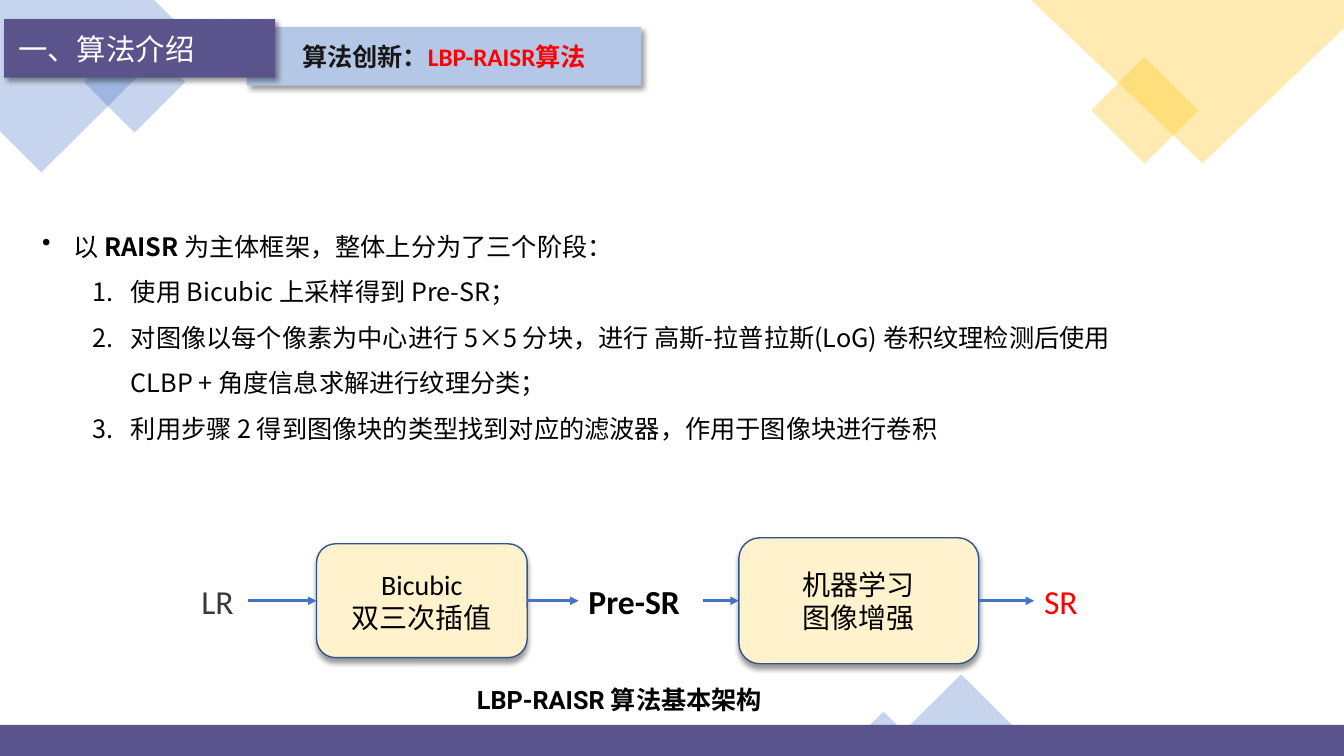
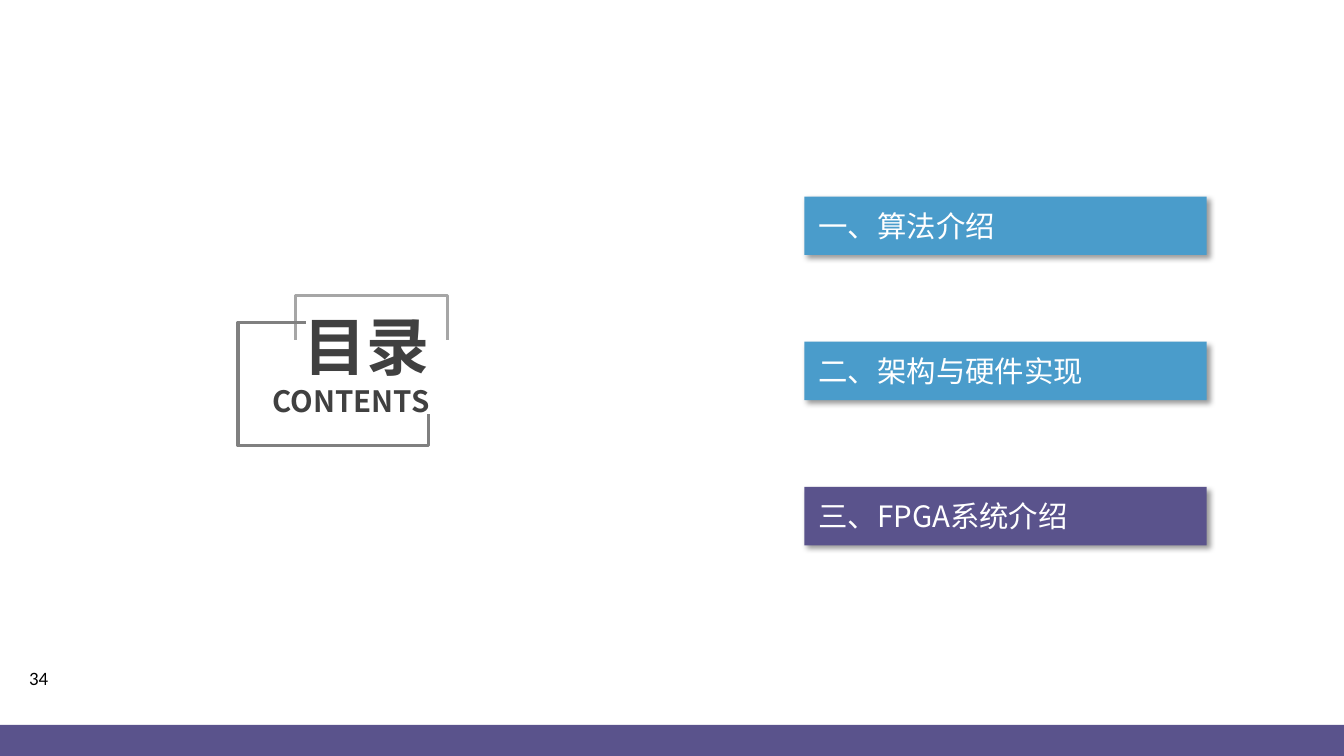
from lxml import etree
from pptx import Presentation
from pptx import util as u
from pptx.dml.color import RGBColor
from pptx.enum import shapes, text
from pptx.oxml.ns import qn

# The slide is a grid of 160 columns by 90 rows of square cells.
COLUMNS, ROWS = 160, 90
CELL = u.Inches(1) / 12
BAND_HEIGHT = 3.72
BAR_HEIGHT = 6.96

COLORS = {
    "purple": "5A538C", "sky": "4A9CCB", "pale_blue": "B4C7E7",
    "blue": "4472C4", "yellow": "FFC000", "cream": "FFF2CC",
    "outline": "325491", "red": "FF0000", "white": "FFFFFF",
    "black": "000000", "ink": "181717", "charcoal": "3B3838",
    "dark_gray": "404040", "gray": "808080", "light_gray": "A6A6A6",
}
CJK, LATIN, CAPTION = "Noto Sans CJK SC", "Calibri", "Roboto"
KIND = shapes.MSO_SHAPE
ALIGN = text.PP_ALIGN


def cells(*counts):
    return [u.Emu(round(count * CELL)) for count in counts]


def color(name):
    return RGBColor.from_string(COLORS[name])


def add_child(parent, tag, **attributes):
    child = etree.SubElement(parent, qn(tag))
    for name, value in attributes.items():
        child.set(name, str(value))
    return child


def paint(shape, fill, line=None, opacity=100, shadow_angle=None):
    """Set fill, outline and shadow; the angle is in degrees."""
    shape.fill.solid()
    shape.fill.fore_color.rgb = color(fill)
    properties = shape.element.spPr
    if opacity < 100:
        add_child(properties.find(".//" + qn("a:srgbClr")), "a:alpha", val=opacity * 1000)
    if line:
        shape.line.color.rgb = color(line)
        shape.line.width = u.Pt(1)
    else:
        shape.line.fill.background()
    shape.shadow.inherit = False
    if shadow_angle is not None:
        shadow = add_child(properties.find(qn("a:effectLst")), "a:outerShdw",
                           blurRad=u.Pt(4), dist=u.Pt(3), dir=shadow_angle * 60000,
                           algn="ctr", rotWithShape=0)
        shade = add_child(shadow, "a:srgbClr", val=COLORS["black"])
        add_child(shade, "a:alpha", val=40000)


def add_shape(page, kind, box, fill, **look):
    shape = page.shapes.add_shape(kind, *cells(*box))
    paint(shape, fill, **look)
    return shape


def add_outline(page, points, closed=True):
    start, *rest = [cells(*point) for point in points]
    builder = page.shapes.build_freeform(*start)
    builder.add_line_segments(rest, close=closed)
    return builder.convert_to_shape()


def add_bracket(page, points, line):
    bracket = add_outline(page, points, closed=False)
    bracket.fill.background()
    bracket.line.color.rgb = color(line)
    bracket.line.width = u.Pt(2.5)
    bracket.shadow.inherit = False


def format_span(span, size, ink, font=LATIN, bold=False):
    span.font.size = u.Pt(size)
    span.font.name = font
    span.font.bold = bold
    span.font.color.rgb = color(ink)
    add_child(span.font._element, "a:ea", typeface=CJK)


def write(shape, words, size, ink, font=LATIN, bold=False, align=ALIGN.LEFT):
    frame = shape.text_frame
    frame.text = words
    frame.word_wrap = True
    frame.auto_size = text.MSO_AUTO_SIZE.NONE
    for para in frame.paragraphs:
        para.alignment = align
        for span in para.runs:
            format_span(span, size, ink, font, bold)
    return frame


def add_text(page, box, words, *style, **options):
    return write(page.shapes.add_textbox(*cells(*box)), words, *style, **options)


def place_title(page, box):
    title = page.shapes.title
    title.left, title.top, title.width, title.height = cells(*box)
    return title


def format_bar(shape, words, fill):
    paint(shape, fill, shadow_angle=45)
    frame = write(shape, words, 21, "white", CJK)
    frame.vertical_anchor = text.MSO_ANCHOR.MIDDLE
    frame.margin_left = u.Inches(0.14)
    frame.margin_top = frame.margin_bottom = 0


def add_footer_band(page):
    add_shape(page, KIND.RECTANGLE, (0, ROWS - BAND_HEIGHT, COLUMNS, BAND_HEIGHT), "purple")


def add_decoration(page):
    blue_corner = [(0, 0), (18.36, 0), (21.96, 3.6), (4.92, 20.52), (0, 15.6)]
    yellow_corner = [(COLUMNS, 0), (122.76, 0), (143.16, 19.44), (COLUMNS, 3.36)]
    for points, fill in ((blue_corner, "blue"), (yellow_corner, "yellow")):
        paint(add_outline(page, points), fill, opacity=30)
    for left, top, side, fill in ((11.76, 5.52, 8.52, "blue"), (131.76, 8.64, 9, "yellow")):
        square = add_shape(page, KIND.RECTANGLE, (left, top, side, side), fill, opacity=30)
        square.rotation = 45
    for left, width, height in ((104.64, 19.56, 9.72), (99.84, 10.68, 5.28)):
        add_shape(page, KIND.ISOSCELES_TRIANGLE, (left, ROWS - height, width, height),
                  "blue", opacity=30)


def set_marker(para, tag, margin, hanging, **marker):
    para.line_spacing = u.Pt(32.5)
    properties = para._p.get_or_add_pPr()
    properties.set("marL", str(u.Inches(margin)))
    properties.set("indent", str(-u.Inches(hanging)))
    add_child(properties, tag, **marker)


def add_stages(page):
    style = (18, "black", CJK)
    frame = add_text(page, (3.84, 25.08, 130.08, 28.44), "\n".join([
        "以 ",
        "使用 Bicubic 上采样得到 Pre-SR；",
        "对图像以每个像素为中心进行 5×5 分块，进行 高斯-拉普拉斯(LoG) 卷积纹理检测后"
        "使用 CLBP + 角度信息求解进行纹理分类；",
        "利用步骤 2 得到图像块的类型找到对应的滤波器，作用于图像块进行卷积",
    ]), *style)
    intro, *steps = frame.paragraphs
    for words, bold in (("RAISR ", True), ("为主体框架，整体上分为了三个阶段：", False)):
        span = intro.add_run()
        span.text = words
        format_span(span, *style, bold=bold)
    set_marker(intro, "a:buChar", 0.31, 0.31, char="•")
    for step in steps:
        step.level = 1
        set_marker(step, "a:buAutoNum", 0.88, 0.38, type="arabicPeriod")


def add_arrow(page, source, target):
    arrow = page.shapes.add_connector(shapes.MSO_CONNECTOR.STRAIGHT, 0, 0, 0, 0)
    arrow.begin_connect(source, 3)
    arrow.end_connect(target, 1)
    arrow.line.color.rgb = color("blue")
    arrow.line.width = u.Pt(2)
    add_child(arrow.line._get_or_add_ln(), "a:tailEnd", type="triangle")
    add_child(arrow.element.spPr, "a:effectLst")


def add_flow(page):
    middle = 71.52
    steps = [
        ("LR", 22.8, 6.72, 6, "charcoal"),
        ("Bicubic\n双三次插值", 37.68, 25.08, 13.56, None),
        ("Pre-SR", 68.88, 14.76, 6, "black"),
        ("机器学习\n图像增强", 87.96, 28.56, 15, None),
        ("SR", 123.12, 7.68, 6, "red"),
    ]
    nodes = []
    for words, left, width, height, ink in steps:
        box = (left, middle - height / 2, width, height)
        if ink:
            node = page.shapes.add_textbox(*cells(*box))
            write(node, words, 24, ink, bold=words == "Pre-SR")
        else:
            node = add_shape(page, KIND.ROUNDED_RECTANGLE, box, "cream",
                             line="outline", shadow_angle=90)
            frame = write(node, words, 20, "black", align=ALIGN.CENTER)
            frame.vertical_anchor = text.MSO_ANCHOR.MIDDLE
        nodes.append(node)
    for source, target in zip(nodes, nodes[1:]):
        add_arrow(page, source, target)


def build_algorithm(page):
    add_decoration(page)
    add_footer_band(page)
    add_stages(page)
    add_flow(page)
    add_text(page, (48.36, 80.88, 51.48, 4.8), "LBP-RAISR 算法基本架构 ",
             18, "black", CAPTION, True, ALIGN.CENTER)
    topic = add_shape(page, KIND.RECTANGLE, (29.4, 3.24, 46.92, BAR_HEIGHT),
                      "pale_blue", shadow_angle=45)
    frame = write(topic, "算法创新：", 18, "ink", bold=True, align=ALIGN.CENTER)
    frame.vertical_anchor = text.MSO_ANCHOR.MIDDLE
    span = frame.paragraphs[0].add_run()
    span.text = "LBP-RAISR算法"
    format_span(span, 18, "red", bold=True)
    title = place_title(page, (0.48, 2.28, 32.28, BAR_HEIGHT))
    format_bar(title, "一、算法介绍", "purple")
    title.element.getparent().append(title.element)  # in front of the topic bar


def build_contents(page):
    add_text(page, (2.28, 78.72, 5.16, 3.96), "34", 13.5, "black")
    chapters = [("一、算法介绍", "sky"), ("二、架构与硬件实现", "sky"),
                ("三、FPGA系统介绍", "purple")]
    for row, (words, fill) in enumerate(chapters):
        bar = add_shape(page, KIND.RECTANGLE,
                        (95.76, 23.4 + 17.28 * row, 47.88, BAR_HEIGHT), fill)
        format_bar(bar, words, fill)
    title = place_title(page, (21, 36, 31.32, 14.52))
    frame = write(title, "目录\nCONTENTS", 45, "dark_gray", CJK, True, ALIGN.RIGHT)
    frame.vertical_anchor = text.MSO_ANCHOR.TOP
    heading, subheading = frame.paragraphs
    heading.line_spacing = u.Pt(54)
    subheading.line_spacing = u.Pt(25)
    subheading.runs[0].font.size = u.Pt(21)
    add_bracket(page, [(35.16, 40.44), (35.16, 35.16), (53.28, 35.16), (53.28, 40.44)],
                "light_gray")
    add_bracket(page, [(51, 49.32), (51, 53.04), (28.32, 53.04), (28.32, 38.4),
                       (36.48, 38.4)], "gray")
    add_footer_band(page)


def main():
    deck = Presentation()
    deck.slide_width, deck.slide_height = cells(COLUMNS, ROWS)
    title_only = deck.slide_layouts.get_by_name("Title Only")
    for build in (build_algorithm, build_contents):
        build(deck.slides.add_slide(title_only))
    deck.save("out.pptx")


if __name__ == "__main__":
    main()
